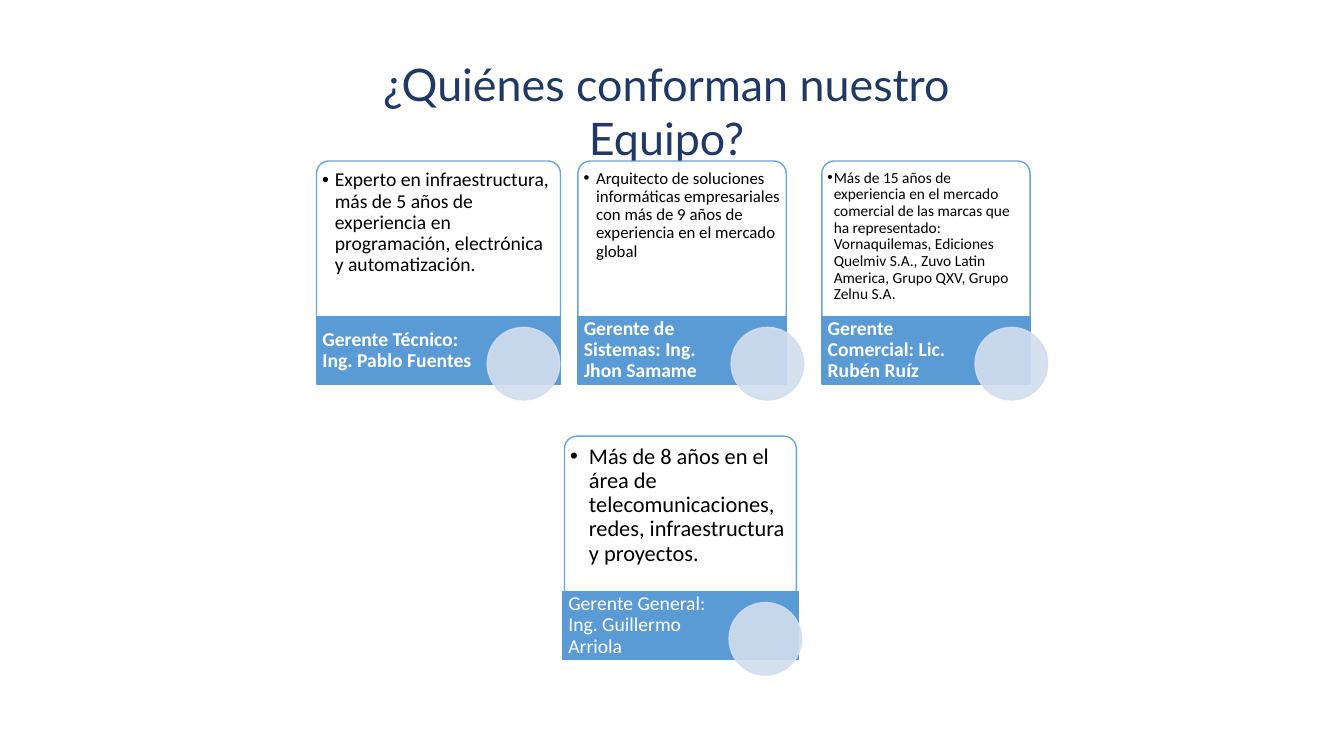
from dataclasses import dataclass

from lxml.etree import SubElement
from pptx import Presentation
from pptx.dml.color import RGBColor
from pptx.enum.shapes import MSO_SHAPE
from pptx.enum.text import MSO_ANCHOR, MSO_AUTO_SIZE, PP_ALIGN
from pptx.oxml.ns import qn
from pptx.shapes.autoshape import Shape
from pptx.slide import Slide
from pptx.util import Inches, Pt

SLIDE_WIDTH = Inches(13.33)
SLIDE_HEIGHT = Inches(7.5)
BLUE = "5B9BD5"
PALE_BLUE = "D2DEEF"
WHITE = "FFFFFF"
BLACK = "000000"
NAVY = "203864"
FRAME_HEIGHT = 20.6
BAND_HEIGHT = 8.9
LABEL_SHARE = 0.705
CIRCLE_DROP = 22


@dataclass(frozen=True)
class Area:
    left: float
    top: float
    width: float
    height: float


@dataclass(frozen=True)
class Member:
    placeholder: int
    left: float
    top: float
    width: float
    circle_left: float
    experience: str
    size: int
    indent: float
    role: str
    bold: bool = True
    overhang: float = 0


TEAM = [
    Member(1, 23.55, 21.3, 18.15, 36.25,
           "Experto en infraestructura, más de 5 años de experiencia en "
           "programación, electrónica y automatización.",
           14, 9, "Gerente Técnico: Ing. Pablo Fuentes"),
    Member(2, 43, 21.3, 15.5, 54.4,
           "Arquitecto de soluciones informáticas empresariales con más de "
           "9 años de experiencia en el mercado global",
           12, 9, "Gerente de Sistemas: Ing. Jhon Samame"),
    Member(3, 61.15, 21.3, 15.5, 72.55,
           "Más de 15 años de experiencia en el mercado comercial de las "
           "marcas que ha representado: Vornaquilemas, Ediciones Quelmiv "
           "S.A., Zuvo Latin America, Grupo QXV, Grupo Zelnu S.A.",
           11, 4.5, "Gerente Comercial: Lic. Rubén Ruíz"),
    Member(4, 42, 57.7, 17.25, 54.25,
           "Más de 8 años en el área de telecomunicaciones, redes, "
           "infraestructura y proyectos.",
           16, 13.5, "Gerente General: Ing. Guillermo Arriola", False, 0.15),
]


def color(value: str) -> RGBColor:
    return RGBColor.from_string(value)


def bounds(area: Area) -> tuple[int, int, int, int]:
    return (round(SLIDE_WIDTH * area.left / 100),
            round(SLIDE_HEIGHT * area.top / 100),
            round(SLIDE_WIDTH * area.width / 100),
            round(SLIDE_HEIGHT * area.height / 100))


def place(shape: Shape, area: Area) -> None:
    shape.left, shape.top, shape.width, shape.height = bounds(area)


def set_opacity(shape: Shape, percent: int) -> None:
    properties = shape.element.spPr
    for fill in properties.iter(qn("a:srgbClr")):
        SubElement(fill, qn("a:alpha"), val=str(percent * 1000))


def add_panel(slide: Slide, kind: MSO_SHAPE, area: Area, fill: str,
              line: str) -> Shape:
    shape = slide.shapes.add_shape(kind, *bounds(area))
    shape.shadow.inherit = False
    shape.fill.solid()
    shape.fill.fore_color.rgb = color(fill)
    shape.line.color.rgb = color(line)
    shape.line.width = Pt(1)
    return shape


def write(shape: Shape, text: str, *, size: int, font: str = "Calibri",
          fill: str = BLACK, bold: bool = False,
          align: PP_ALIGN = PP_ALIGN.LEFT,
          anchor: MSO_ANCHOR = MSO_ANCHOR.TOP, spacing: float = 0.9,
          margins: tuple[float, float, float, float] = (7.2, 3.6, 7.2, 3.6),
          indent: float = 0) -> None:
    frame = shape.text_frame
    frame.word_wrap = True
    frame.auto_size = MSO_AUTO_SIZE.NONE
    frame.vertical_anchor = anchor
    (frame.margin_left, frame.margin_top,
     frame.margin_right, frame.margin_bottom) = map(Pt, margins)
    paragraph = frame.paragraphs[0]
    paragraph.alignment = align
    paragraph.line_spacing = spacing
    paragraph.space_before = Pt(0)
    run = paragraph.add_run()
    run.text = text
    run.font.name = font
    run.font.size = Pt(size)
    run.font.bold = bold
    run.font.color.rgb = color(fill)
    if indent:
        properties = paragraph.alignment and paragraph._p.get_or_add_pPr()
        properties.set("marL", str(Pt(indent)))
        properties.set("indent", str(-Pt(indent)))
        SubElement(properties, qn("a:buFont"), typeface="Arial")
        SubElement(properties, qn("a:buChar"), char="•")


def add_member(slide: Slide, member: Member) -> None:
    frame = add_panel(
        slide, MSO_SHAPE.ROUND_2_SAME_RECTANGLE,
        Area(member.left, member.top, member.width, FRAME_HEIGHT), WHITE, BLUE)
    frame.adjustments[0] = 0.08
    set_opacity(frame.fill and frame, 90)
    frame.line.color.rgb = color(BLUE)

    experience = slide.placeholders[member.placeholder]
    place(experience, Area(member.left + 0.26, member.top + 0.4,
                           member.width - 0.52, FRAME_HEIGHT - 0.4))
    write(experience, member.experience, size=member.size,
          indent=member.indent, margins=(1.5, 4.2, 1.5, 1.5))
    frame.element.addnext(experience.element)

    band_left = member.left - member.overhang
    band_top = member.top + FRAME_HEIGHT
    band_width = member.width + 2 * member.overhang
    add_panel(slide, MSO_SHAPE.RECTANGLE,
              Area(band_left, band_top, band_width, BAND_HEIGHT), BLUE, BLUE)
    label = slide.shapes.add_textbox(*bounds(
        Area(band_left, band_top, band_width * LABEL_SHARE, BAND_HEIGHT)))
    write(label, member.role, size=14, fill=WHITE, bold=member.bold,
          anchor=MSO_ANCHOR.MIDDLE, margins=(4.2, 0, 1.5, 0))

    circle = add_panel(
        slide, MSO_SHAPE.OVAL,
        Area(member.circle_left, member.top + CIRCLE_DROP, 5.4, 9.6),
        PALE_BLUE, PALE_BLUE)
    set_opacity(circle, 90)


def main() -> None:
    presentation = Presentation()
    presentation.slide_width = SLIDE_WIDTH
    presentation.slide_height = SLIDE_HEIGHT
    slide = presentation.slides.add_slide(presentation.slide_layouts[4])
    title = slide.shapes.title
    place(title, Area(24, 6.9, 51.2, 8.5))
    write(title, "¿Quiénes conforman nuestro Equipo?", size=32, font="Lato",
          fill=NAVY, align=PP_ALIGN.CENTER, spacing=1)
    for member in TEAM:
        add_member(slide, member)
    presentation.save("out.pptx")


if __name__ == "__main__":
    main()
